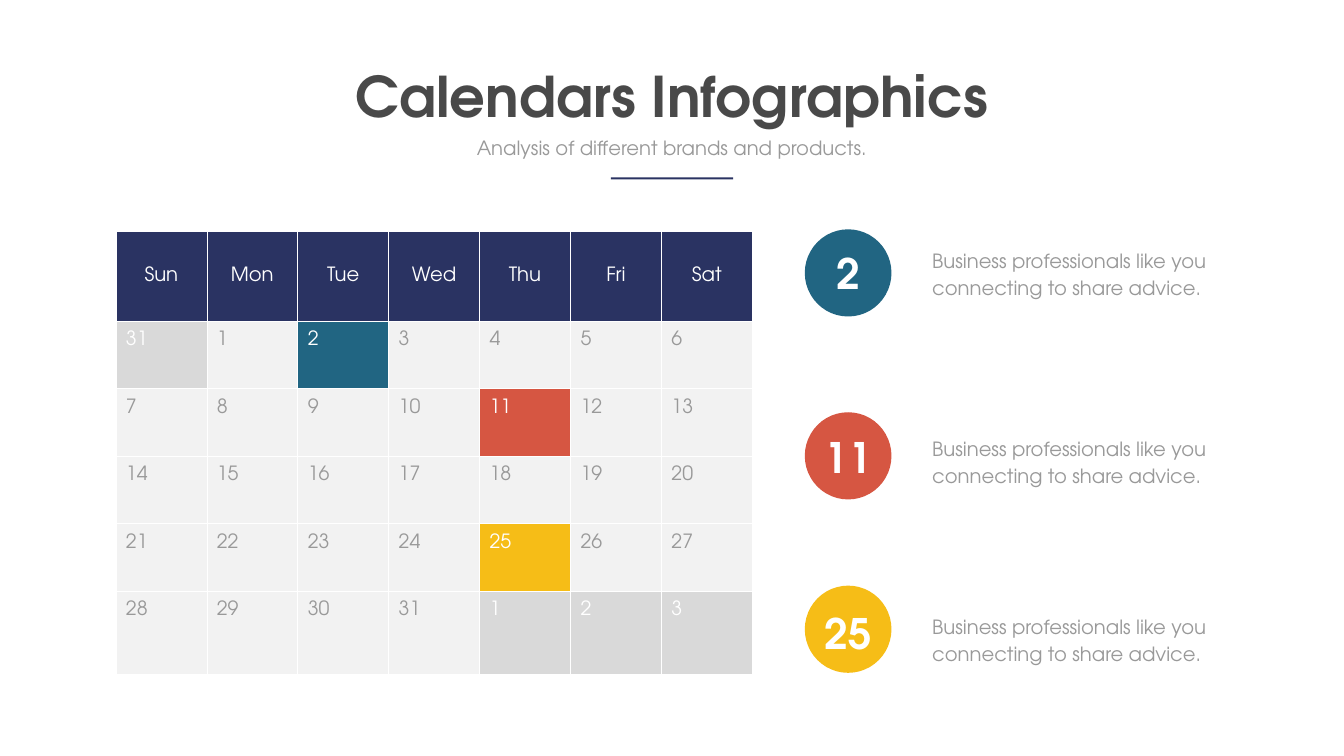
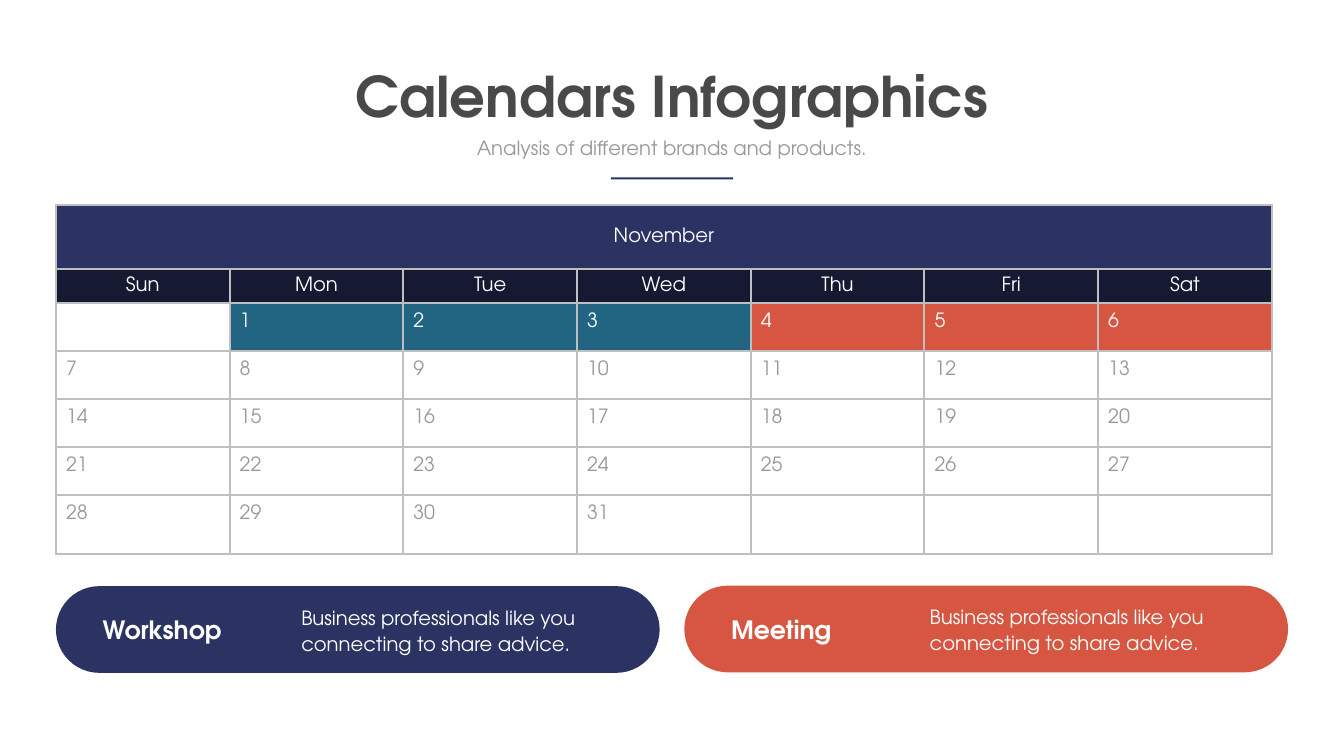
import lxml.etree
import pptx
import pptx.dml.color
import pptx.enum.shapes
import pptx.enum.text
import pptx.oxml.ns
import pptx.util

EMU_PER_PX = 9144  # 100 px to the inch
FONT = "TeX Gyre Adventor"
BODY_SIZE = 28

WHITE = "FFFFFF"
CHARCOAL = "494949"
GREY = "999999"
NAVY = "2A3362"
MIDNIGHT = "151931"
TEAL = "216582"
RED = "D65642"
YELLOW = "F6BD17"
PALE = "F2F2F2"
SILVER = "D9D9D9"
RULE_GREY = "BFBFBF"

WEEKDAYS = ["Sun", "Mon", "Tue", "Wed", "Thu", "Fri", "Sat"]
MONTH = [str(day) for day in range(1, 32)]
NOTE = "Business professionals like you connecting to share advice."

LEFT = pptx.enum.text.PP_ALIGN.LEFT
CENTER = pptx.enum.text.PP_ALIGN.CENTER
TOP = pptx.enum.text.MSO_ANCHOR.TOP
MIDDLE = pptx.enum.text.MSO_ANCHOR.MIDDLE
SHAPE = pptx.enum.shapes.MSO_SHAPE


def px(length):
    return pptx.util.Emu(length * EMU_PER_PX)


def rgb(value):
    return pptx.dml.color.RGBColor.from_string(value)


def write(frame, text, size, color, bold=False, align=LEFT, spacing=None):
    frame.text = text
    paragraph = frame.paragraphs[0]
    paragraph.alignment = align
    if spacing:
        paragraph.line_spacing = pptx.util.Pt(spacing)
    paragraph.font.name = FONT
    paragraph.font.size = pptx.util.Pt(size)
    paragraph.font.bold = bold
    paragraph.font.color.rgb = rgb(color)


def add_text(slide, box, text, size, color, wrap=True, **style):
    frame = slide.shapes.add_textbox(*map(px, box)).text_frame
    frame.word_wrap = wrap
    write(frame, text, size, color, **style)


def add_filled(slide, kind, box, color):
    shape = slide.shapes.add_shape(kind, *map(px, box))
    shape.shadow.inherit = False
    shape.fill.solid()
    shape.fill.fore_color.rgb = rgb(color)
    shape.line.fill.background()
    return shape


def add_titled_slide(deck):
    """Add a slide with the shared title, subtitle and short rule."""
    slide = deck.slides.add_slide(deck.slide_layouts[5])
    title = slide.shapes.title
    title.left, title.top, title.width, title.height = map(px, (689, 117, 1289, 145))
    frame = title.text_frame
    frame.word_wrap = False
    frame.auto_size = pptx.enum.text.MSO_AUTO_SIZE.NONE
    frame.vertical_anchor = TOP
    write(frame, "Calendars Infographics", 80, CHARCOAL, bold=True, align=CENTER)
    add_text(slide, (855, 265, 956, 57), "Analysis of different brands and products.",
             BODY_SIZE, GREY, align=CENTER)
    add_filled(slide, SHAPE.RECTANGLE, (1212, 352, 243, 4), NAVY)
    return slide


def set_borders(cell, color, points):
    properties = cell._tc.get_or_add_tcPr()
    for side in ("a:lnL", "a:lnR", "a:lnT", "a:lnB"):
        line = lxml.etree.SubElement(properties, pptx.oxml.ns.qn(side),
                                     w=str(pptx.util.Pt(points)))
        fill = lxml.etree.SubElement(line, pptx.oxml.ns.qn("a:solidFill"))
        lxml.etree.SubElement(fill, pptx.oxml.ns.qn("a:srgbClr"), val=color)


def fill_cell(cell, text, fill, color, is_header):
    cell.fill.solid()
    cell.fill.fore_color.rgb = rgb(fill)
    margins = (14, 7, 14, 7) if is_header else (20, 20, 10, 5)
    cell.margin_left, cell.margin_top, cell.margin_right, cell.margin_bottom = map(px, margins)
    cell.vertical_anchor = MIDDLE if is_header else TOP
    write(cell.text_frame, text, BODY_SIZE, color, align=CENTER if is_header else LEFT)


def add_calendar(slide, corner, width, heights, headers, days, border):
    """headers: (labels, fill) per row; days: (text, fill, colour) per cell, by week."""
    columns = len(WEEKDAYS)
    table = slide.shapes.add_table(len(heights), columns, *map(px, corner),
                                   px(width), px(sum(heights))).table
    table.first_row = table.horz_banding = False
    for column in table.columns:
        column.width = px(width) // columns
    for row, height in zip(table.rows, heights):
        row.height = px(height)

    for row, (labels, fill) in enumerate(headers):
        if len(labels) == 1:
            table.cell(row, 0).merge(table.cell(row, columns - 1))
        for column, label in enumerate(labels):
            fill_cell_with_border = table.cell(row, column)
            set_borders(fill_cell_with_border, *border)
            fill_cell(fill_cell_with_border, label, fill, WHITE, True)
        for column in range(len(labels), columns):
            set_borders(table.cell(row, column), *border)
    for index, (text, fill, color) in enumerate(days):
        week, weekday = divmod(index, columns)
        day_cell = table.cell(len(headers) + week, weekday)
        set_borders(day_cell, *border)
        fill_cell(day_cell, text, fill, color, False)


def add_event(slide, day, color, circle_top, number_top, note_top):
    add_filled(slide, SHAPE.OVAL, (1597, circle_top, 172, 173), color)
    add_text(slide, (1626, number_top, 115, 111), day, 60, WHITE,
             wrap=False, bold=True, align=CENTER)
    add_text(slide, (1840, note_top, 578, 118), NOTE, BODY_SIZE, GREY, spacing=38.6)


def add_legend_pill(slide, left, top, label, color):
    pill = add_filled(slide, SHAPE.ROUNDED_RECTANGLE, (left, top, 1198, 172), color)
    pill.adjustments[0] = 0.5
    add_text(slide, (left + 83, top + 51, 394, 71), label, 36, WHITE, bold=True)
    add_text(slide, (left + 477, top + 30, 616, 113), NOTE, BODY_SIZE, WHITE, spacing=36.6)


def build_event_calendar(deck):
    slide = add_titled_slide(deck)
    event_colors = {"2": TEAL, "11": RED, "25": YELLOW}
    days = [("31", SILVER, WHITE)]
    days += [(day, event_colors.get(day, PALE), WHITE if day in event_colors else GREY)
             for day in MONTH]
    days += [(day, SILVER, WHITE) for day in MONTH[:3]]
    add_calendar(slide, (230, 458), 1263, [179] + [134] * 4 + [166],
                 [(WEEKDAYS, NAVY)], days, (WHITE, 1))
    tops = [(455, 487, 482), (818, 851, 855), (1162, 1200, 1209)]
    for (day, color), event_tops in zip(event_colors.items(), tops):
        add_event(slide, day, color, *event_tops)


def build_november_calendar(deck):
    slide = add_titled_slide(deck)
    add_legend_pill(slide, 1358, 1162, "Meeting", RED)
    add_legend_pill(slide, 111, 1163, "Workshop", NAVY)
    booked = dict.fromkeys(MONTH[:3], TEAL) | dict.fromkeys(MONTH[3:6], RED)
    days = [(day, booked.get(day, WHITE), WHITE if day in booked else GREY)
            for day in [""] + MONTH + [""] * 3]
    add_calendar(slide, (111, 407), 2413, [127, 68] + [95] * 4 + [118],
                 [(["November"], NAVY), (WEEKDAYS, MIDNIGHT)], days, (RULE_GREY, 3))


def main():
    deck = pptx.Presentation()
    deck.slide_width, deck.slide_height = px(2667), px(1500)
    build_event_calendar(deck)
    build_november_calendar(deck)
    deck.save("out.pptx")


if __name__ == "__main__":
    main()
